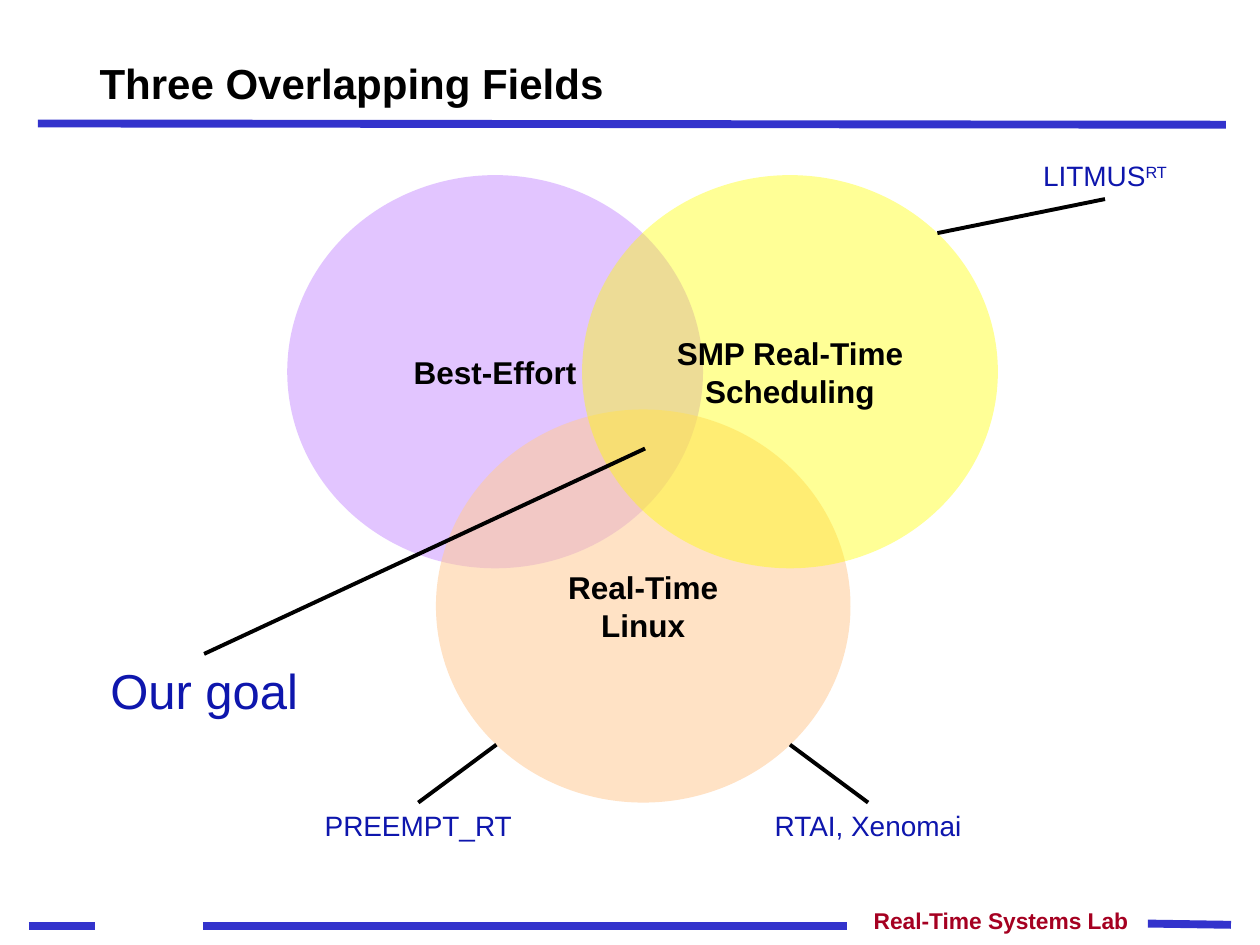
from dataclasses import dataclass

from lxml import etree
from pptx import Presentation
from pptx import util as u
from pptx.dml.color import RGBColor
from pptx.enum import shapes, text
from pptx.oxml import ns

COLUMNS, ROWS = 100, 75
BLACK, NAVY, BLUE, RED = "000000", "0E16AD", "3333CC", "A50021"
TOP, BOTTOM = 0, 2


@dataclass(frozen=True)
class Area:
    column: float
    row: float
    columns: float
    rows: float


@dataclass(frozen=True)
class Field:
    name: str
    area: Area
    color: str
    opacity: int


@dataclass(frozen=True)
class Callout:
    name: str
    superscript: str
    area: Area
    size: int
    target: tuple[float, float]
    side: int


LABEL_COLUMNS, LABEL_ROWS = 17, 3.7

RULES = [
    ((3, 9.8), (97.3, 9.9)),
    ((16.1, 73.5), (67.2, 73.5)),
    ((91.1, 73.3), (97.7, 73.4)),
    ((2.3, 73.5), (7.5, 73.5)),
]
FIELDS = [
    Field("Best-Effort", Area(22.8, 13.9, 33, 31.2), "CC99FF", 56),
    Field("Real-Time\nLinux", Area(34.6, 32.5, 32.9, 31.2), "FFCC99", 57),
    Field("SMP Real-Time\nScheduling", Area(46.2, 13.9, 33, 31.2), "FFFF00", 41),
]
CALLOUTS = [
    Callout("RTAI, Xenomai", "", Area(60.4, 63.7, LABEL_COLUMNS, LABEL_ROWS), 16, (62.7, 59.1), TOP),
    Callout("PREEMPT_RT", "", Area(24.7, 63.7, LABEL_COLUMNS, LABEL_ROWS), 16, (39.4, 59.1), TOP),
    Callout("LITMUS", "RT", Area(79.2, 12.1, LABEL_COLUMNS, LABEL_ROWS), 16, (74.4, 18.5), BOTTOM),
    Callout("Our goal", "", Area(7.7, 51.9, LABEL_COLUMNS, 5.7), 28, (51.2, 35.6), TOP),
]

deck = Presentation()
deck.slide_width, deck.slide_height = u.Inches(10), u.Inches(7.5)
page = deck.slides.add_slide(deck.slide_layouts[5])


def across(columns: float) -> int:
    return round(deck.slide_width * columns / COLUMNS)


def down(rows: float) -> int:
    return round(deck.slide_height * rows / ROWS)


def place(area: Area) -> tuple[int, int, int, int]:
    return across(area.column), down(area.row), across(area.columns), down(area.rows)


def rgb(color: str) -> RGBColor:
    return RGBColor.from_string(color)


def write(box, words: str, size: int, color: str, bold: bool = False,
          align=text.PP_ALIGN.CENTER, superscript: str = "", **frame_format) -> None:
    """Fill a shape with formatted text, one paragraph per line."""
    frame = box.text_frame
    for name, value in frame_format.items():
        setattr(frame, name, value)
    frame.text = words
    if superscript:
        span = frame.paragraphs[-1].add_run()
        span.text = superscript
        span._r.get_or_add_rPr().set("baseline", "30000")
    font_format = {"name": "Arial", "size": u.Pt(size), "bold": bold}
    for para in frame.paragraphs:
        para.alignment = align
        for span in para.runs:
            for name, value in font_format.items():
                setattr(span.font, name, value)
            span.font.color.rgb = rgb(color)


def draw_line(start: tuple[float, float], end: tuple[float, float], color: str, width: float):
    line = page.shapes.add_connector(
        shapes.MSO_CONNECTOR.STRAIGHT,
        across(start[0]), down(start[1]), across(end[0]), down(end[1]))
    line.line.color.rgb = rgb(color)
    line.line.width = u.Pt(width)
    etree.SubElement(line._element.spPr, ns.qn("a:effectLst"))
    return line


def draw_field(field: Field) -> None:
    circle = page.shapes.add_shape(shapes.MSO_SHAPE.OVAL, *place(field.area))
    circle.shadow.inherit = False
    circle.line.fill.background()
    circle.fill.solid()
    circle.fill.fore_color.rgb = rgb(field.color)
    shade = circle.fill._xPr.find(".//" + ns.qn("a:srgbClr"))
    etree.SubElement(shade, ns.qn("a:alpha"), val=str(field.opacity * 1000))
    write(circle, field.name, 18, BLACK, bold=True, word_wrap=False,
          vertical_anchor=text.MSO_ANCHOR.MIDDLE)


def draw_callout(callout: Callout) -> None:
    box = page.shapes.add_textbox(*place(callout.area))
    write(box, callout.name, callout.size, NAVY, superscript=callout.superscript,
          word_wrap=True)
    leader = draw_line(callout.target, callout.target, BLACK, 2.25)
    leader.end_connect(box, callout.side)


def main() -> None:
    for start, end in RULES:
        draw_line(start, end, BLUE, 4.5)
    lab = page.shapes.add_textbox(*place(Area(68.3, 71.5, 22.2, 3.2)))
    write(lab, "Real-Time Systems Lab", 13, RED, bold=True,
          align=text.PP_ALIGN.RIGHT, word_wrap=False)

    title = page.shapes.title
    title.left, title.top, title.width, title.height = place(Area(6.9, 2.4, 84.2, 6.7))
    write(title, "Three Overlapping Fields", 24, BLACK, bold=True,
          align=text.PP_ALIGN.LEFT, word_wrap=True, auto_size=text.MSO_AUTO_SIZE.NONE,
          vertical_anchor=text.MSO_ANCHOR.BOTTOM)

    for field in FIELDS:
        draw_field(field)
    for callout in CALLOUTS:
        draw_callout(callout)
    deck.save("out.pptx")


if __name__ == "__main__":
    main()
